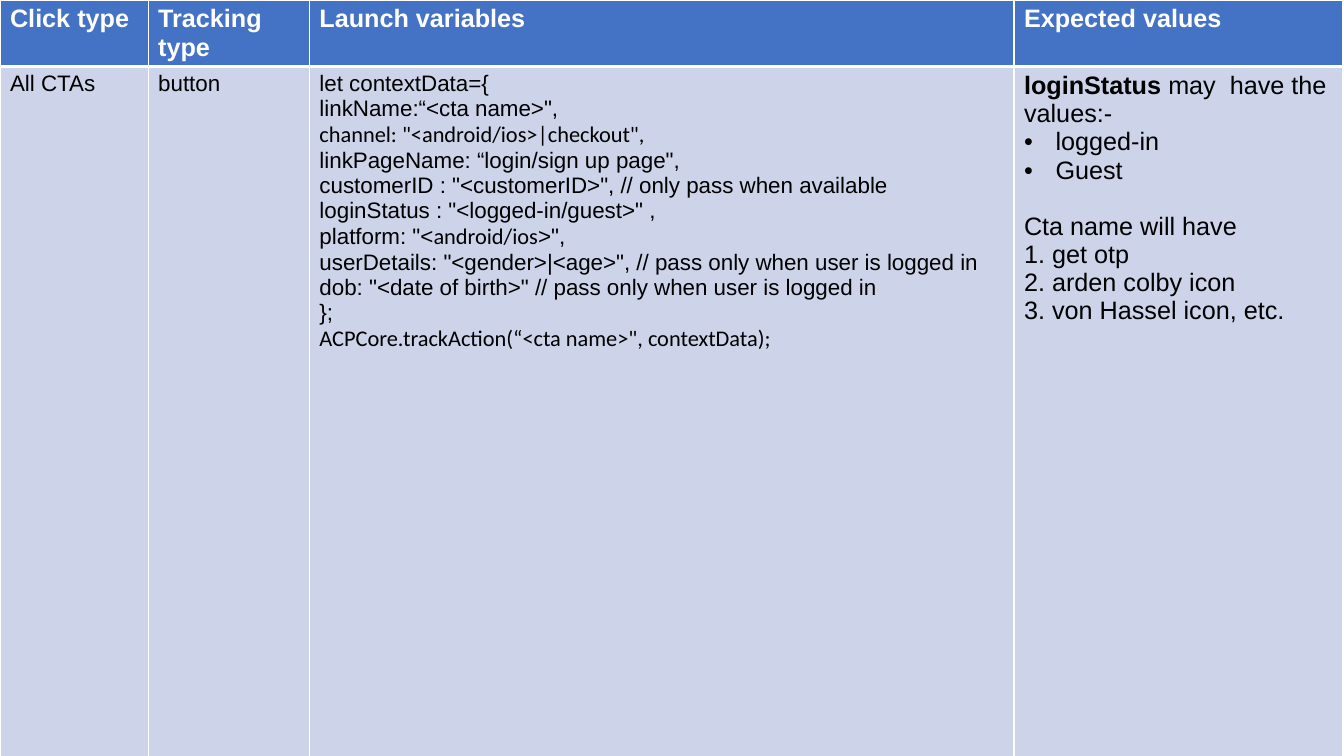
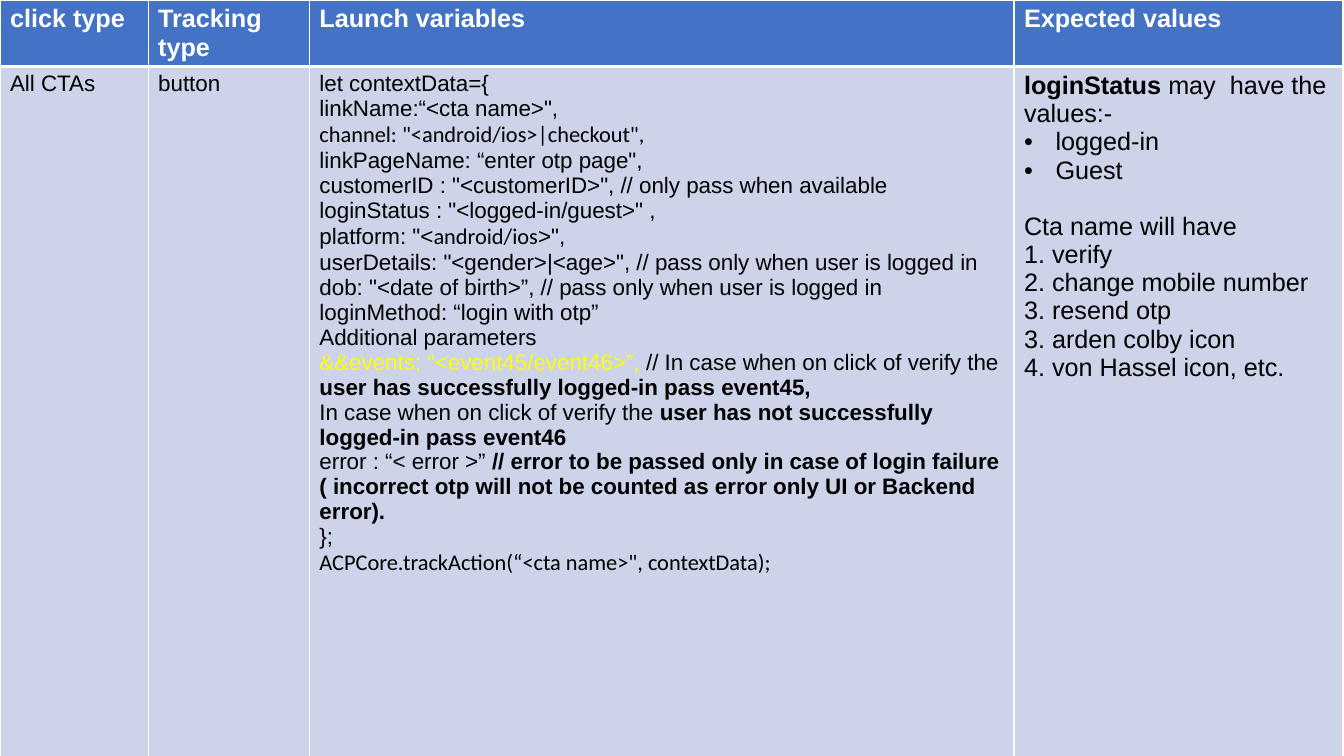
from dataclasses import dataclass, field
from typing import Any

from lxml import etree
from pptx import Presentation
from pptx.dml.color import RGBColor
from pptx.oxml.ns import qn
from pptx.util import Pt

BLUE = RGBColor(0x44, 0x72, 0xC4)
PALE = RGBColor(0xCD, 0xD4, 0xEA)
WHITE = RGBColor(0xFF, 0xFF, 0xFF)
BLACK = RGBColor(0, 0, 0)
YELLOW = RGBColor(0xFF, 0xFF, 0)

WIDTH, HEIGHT = Pt(960), Pt(540)
COLS = [Pt(w) for w in (105.8, 115.2, 503.3, 234.7)]
ROWS = [Pt(h) for h in (39, 496)]
THIN, THICK = Pt(1), Pt(3)
INDENT = Pt(22.5)
GAP = Pt(20)

HEAD = {"name": "Arial", "size": Pt(18), "bold": True}
CODE = {"name": "Arial", "size": Pt(16), "bold": False}
STRONG = CODE | {"bold": True}
ALT = CODE | {"name": "Calibri"}
NOTE = HEAD | {"bold": False}


@dataclass
class Run:
    text: str
    style: dict[str, Any] = field(default_factory=lambda: CODE)
    ink: RGBColor = BLACK


@dataclass
class Line:
    runs: list[Run]
    bullet: bool = False
    gap: int = 0


@dataclass
class Page:
    first: str
    code: list[Line]
    names: list[str]


def line(text: str, style: dict[str, Any] = CODE, ink: RGBColor = BLACK) -> Line:
    return Line([Run(text, style, ink)])


def context(name: str, birth: str, extra: list[Line]) -> list[Line]:
    """Return the tracking code of one page, with its extra lines."""
    return [
        line("let contextData={"),
        line('linkName:“<cta name>",'),
        line('channel: "<android/ios>|checkout",', ALT),
        line(f'linkPageName: “{name}",'),
        line('customerID : "<customerID>", // only pass when available'),
        line('loginStatus : "<logged-in/guest>" ,'),
        Line([Run('platform: "<'), Run("android/ios", ALT), Run('>",')]),
        line('userDetails: "<gender>|<age>", // pass only when user is logged in'),
        line(f'dob: "<date of birth>{birth} // pass only when user is logged in'),
        *extra,
        line("};"),
        line('ACPCore.trackAction(“<cta name>", contextData);', ALT),
    ]


def values(names: list[str]) -> list[Line]:
    """Return the expected login states and click names."""
    return [
        Line([Run("loginStatus ", HEAD), Run("may  have the values:-", NOTE)]),
        *(Line([Run(state, NOTE)], bullet=True) for state in ("logged-in", "Guest")),
        Line([Run("Cta name will have", NOTE)], gap=GAP),
        *(line(name, NOTE) for name in names),
    ]


EVENTS = [
    line("loginMethod: “login with otp”"),
    line("Additional parameters"),
    Line([
        Run("&&events: “<event45/event46>”, ", ink=YELLOW),
        Run("// In case when on click of verify the "),
        Run("user has successfully logged-in pass event45,", STRONG),
    ]),
    Line([
        Run("In case when on click of verify the "),
        Run("user has not successfully logged-in pass event46", STRONG),
    ]),
    Line([
        Run("error : “< error >” "),
        Run("// error to be passed only in case of login failure ( incorrect otp "
            "will not be counted as error only UI or Backend error).", STRONG),
    ]),
]

PAGES = [
    Page("Click type", context("login/sign up page", '"', []),
         ["1. get otp", "2. arden colby icon", "3. von Hassel icon, etc."]),
    Page("click type", context("enter otp page", "”,", EVENTS),
         ["1. verify", "2. change mobile number", "3. resend otp",
          "3. arden colby icon", "4. von Hassel icon, etc."]),
]


def add_bullet(para) -> None:
    props = para._p.get_or_add_pPr()
    props.set("marL", str(INDENT))
    props.set("indent", str(-INDENT))
    tint = etree.SubElement(props, qn("a:buClr"))
    etree.SubElement(tint, qn("a:srgbClr"), val=str(BLACK))
    etree.SubElement(props, qn("a:buFont"), typeface="Arial")
    etree.SubElement(props, qn("a:buChar"), char="•")


def add_rules(cell, top: int, base: int) -> None:
    """Give a cell white borders; they must come before its fill."""
    props = cell._tc.get_or_add_tcPr()
    for side, width in {"L": THIN, "R": THIN, "T": top, "B": base}.items():
        rule = etree.SubElement(props, qn(f"a:ln{side}"), w=str(width))
        solid = etree.SubElement(rule, qn("a:solidFill"))
        etree.SubElement(solid, qn("a:srgbClr"), val=str(WHITE))


def write(frame, lines: list[Line]) -> None:
    for i, item in enumerate(lines):
        para = frame.add_paragraph() if i else frame.paragraphs[0]
        if item.bullet:
            add_bullet(para)
        if item.gap:
            para.space_before = item.gap
        for part in item.runs:
            run = para.add_run()
            run.text = part.text
            for key, value in part.style.items():
                setattr(run.font, key, value)
            run.font.color.rgb = part.ink


def add_page(deck, page: Page) -> None:
    slide = deck.slides.add_slide(deck.slide_layouts[6])
    table = slide.shapes.add_table(
        len(ROWS), len(COLS), 0, 0, sum(COLS), sum(ROWS)).table
    for col, width in zip(table.columns, COLS):
        col.width = width
    for row, height in zip(table.rows, ROWS):
        row.height = height
    titles = (page.first, "Tracking type", "Launch variables", "Expected values")
    head = [[line(title, HEAD, WHITE)] for title in titles]
    body = [[line("All CTAs")], [line("button")], page.code, values(page.names)]
    bands = ((head, BLUE, THIN, THICK), (body, PALE, THICK, THIN))
    for row, (texts, fill, top, base) in zip(table.rows, bands):
        for cell, lines in zip(row.cells, texts):
            add_rules(cell, top, base)
            cell.fill.solid()
            cell.fill.fore_color.rgb = fill
            write(cell.text_frame, lines)


def main() -> None:
    deck = Presentation()
    deck.slide_width, deck.slide_height = WIDTH, HEIGHT
    for page in PAGES:
        add_page(deck, page)
    deck.save("out.pptx")


if __name__ == "__main__":
    main()
